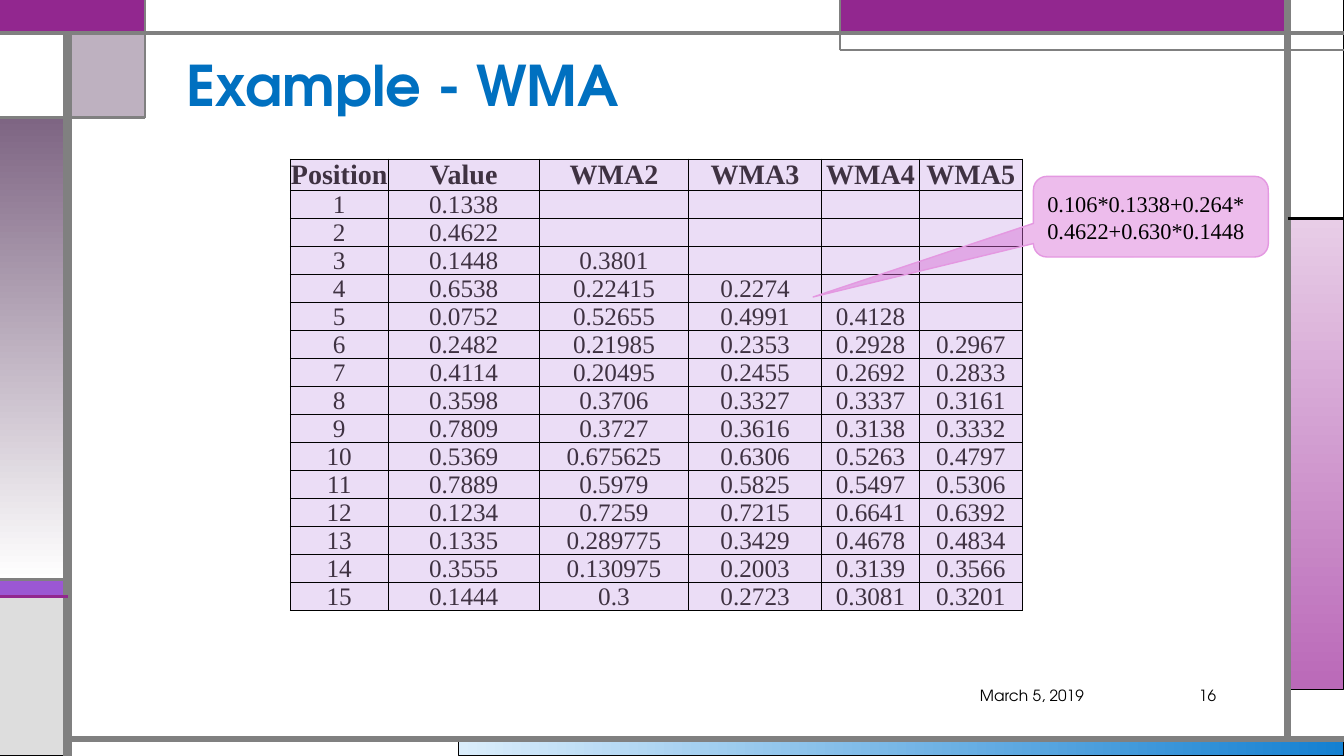
from lxml import etree
from pptx import Presentation
from pptx import util as u
from pptx.dml import color
from pptx.enum import shapes, text
from pptx.oxml import ns

COLORS = {
    "white": "FFFFFF", "black": "000000", "gray": "808080", "silver": "DDDDDD",
    "plum": "92278F", "violet": "9B57D3", "indigo": "755DD9", "mauve": "7E6583",
    "sky": "DAEDFB", "ocean": "1480D1", "blush": "E8CDE7", "orchid": "BA69B8",
    "title": "0070C0", "cell": "EBDDF6", "ink": "3F3242",
    "callout": "D665D3", "callout_edge": "E498E1",
}
HEADING, SERIF = "TeX Gyre Adventor", "Times New Roman"
FONTS = {
    "title": {"name": HEADING, "size": u.Pt(40), "bold": True},
    "footer": {"name": HEADING, "size": u.Pt(11), "bold": False},
    "header": {"name": SERIF, "size": u.Pt(20), "bold": True},
    "body": {"name": SERIF, "size": u.Pt(18), "bold": False},
    "callout": {"name": SERIF, "size": u.Pt(16), "bold": False},
}
SLIDE = (0, 0, 13.33, 7.5)
RAIL_LEFT, RAIL_RIGHT, TAB_RIGHT, BAND_LEFT = 0.67, 12.77, 1.44, 8.33
TOP, TAB_BOTTOM, STRIPE_TOP, STRIPE_BOTTOM, BASE = 0.33, 1.17, 5.75, 5.92, 7.33
RIGHT_BREAK = 2.17

HEADERS = ["Position", "Value", "WMA2", "WMA3", "WMA4", "WMA5"]
HEADER_HEIGHT = 0.31
COLUMN_WIDTHS = [0.97, 1.5, 1.48, 1.32, 0.97, 1.02]
VALUES = ["0.1338", "0.4622", "0.1448", "0.6538", "0.0752", "0.2482", "0.4114", "0.3598",
          "0.7809", "0.5369", "0.7889", "0.1234", "0.1335", "0.3555", "0.1444"]
AVERAGES = [
    ["0.3801", "0.22415", "0.52655", "0.21985", "0.20495", "0.3706", "0.3727",
     "0.675625", "0.5979", "0.7259", "0.289775", "0.130975", "0.3"],
    ["0.2274", "0.4991", "0.2353", "0.2455", "0.3327", "0.3616", "0.6306", "0.5825",
     "0.7215", "0.3429", "0.2003", "0.2723"],
    ["0.4128", "0.2928", "0.2692", "0.3337", "0.3138", "0.5263", "0.5497", "0.6641",
     "0.4678", "0.3139", "0.3081"],
    ["0.2967", "0.2833", "0.3161", "0.3332", "0.4797", "0.5306", "0.6392", "0.4834",
     "0.3566", "0.3201"],
]


def rgb(name):
    """Return the named colour."""
    return color.RGBColor.from_string(COLORS[name])


def inches(*lengths):
    """Convert lengths to inches."""
    return [u.Inches(length) for length in lengths]


def write(paragraph, words, style, ink, align, spacing=None):
    """Put one formatted run in a paragraph."""
    paragraph.alignment = align
    paragraph.line_spacing = spacing
    run = paragraph.add_run()
    run.text = words
    for attribute, value in FONTS[style].items():
        setattr(run.font, attribute, value)
    run.font.color.rgb = rgb(ink)


def paint(shape, fill, edge, width, opacity=None, angle=0):
    """Give a shape its fill and outline; a pair of colours makes a gradient."""
    shape.shadow.inherit = False
    if isinstance(fill, tuple):
        shape.fill.gradient()
        shape.fill.gradient_angle = -angle % 360
        for stop, shade, position in zip(shape.fill.gradient_stops, fill, (0, 1)):
            stop.color.rgb = rgb(shade)
            stop.position = position
    else:
        shape.fill.solid()
        shape.fill.fore_color.rgb = rgb(fill)
    if opacity:
        swatch = shape._element.spPr.find(ns.qn("a:solidFill"))[0]
        etree.SubElement(swatch, ns.qn("a:alpha"), val=str(opacity * 1000))
    shape.line.color.rgb = rgb(edge)
    shape.line.width = u.Pt(width)


def draw_frame(slide, box):
    """Draw the blocks and rules that surround the content."""
    left, top, right, bottom = box
    blocks = [
        (4.55, BASE, right, bottom, ("sky", "ocean"), "black", 0.75, None, 0),
        (RAIL_RIGHT, RIGHT_BREAK, right, 6.84, ("blush", "orchid"), "black", 0.75, None, 90),
        (left, STRIPE_TOP, RAIL_LEFT, STRIPE_BOTTOM, "violet", "black", 0.75),
        (left, STRIPE_BOTTOM, RAIL_LEFT, bottom, "silver", "black", 0.75),
        (RAIL_RIGHT, top, right, RIGHT_BREAK, "white", "black", 0.75),
        (BAND_LEFT, top, RAIL_RIGHT, TOP, "plum", "indigo", 0.75),
        (RAIL_LEFT, TOP, TAB_RIGHT, TAB_BOTTOM, "mauve", "black", 0.75, 50),
        (left, TAB_BOTTOM, RAIL_LEFT, STRIPE_TOP, ("mauve", "white"), "black", 0.75, None, 90),
        (left, TOP, RAIL_LEFT, TAB_BOTTOM, "white", "black", 0.75),
        (left, top, TAB_RIGHT, TOP, "plum", "plum", 1.5),
        (TAB_RIGHT, top, BAND_LEFT, TOP, "white", "gray", 0.75),
    ]
    rules = [
        (RAIL_LEFT, bottom, RAIL_LEFT, TOP, "gray", 6),
        (RAIL_LEFT, BASE, right, BASE, "gray", 4.5),
        (RAIL_RIGHT, BASE, RAIL_RIGHT, top, "gray", 4.5),
        (left, TOP, right, TOP, "gray", 3),
        (right, 0.5, BAND_LEFT, 0.5, "gray", 1.5),
        (BAND_LEFT, 0.5, BAND_LEFT, top, "gray", 1.5),
        (RAIL_RIGHT, RIGHT_BREAK, right, RIGHT_BREAK, "black", 2.25),
        (TAB_RIGHT, top, TAB_RIGHT, TAB_BOTTOM, "gray", 1.5),
        (TAB_RIGHT, TAB_BOTTOM, left, TAB_BOTTOM, "gray", 2.25),
        (RAIL_LEFT, STRIPE_TOP, left, STRIPE_TOP, "gray", 2.25),
        (RAIL_LEFT, STRIPE_BOTTOM, left, STRIPE_BOTTOM, "plum", 2.25),
    ]
    frame = slide.shapes.add_group_shape().shapes
    for x1, y1, x2, y2, *look in blocks:
        block = frame.add_shape(shapes.MSO_SHAPE.RECTANGLE, *inches(x1, y1, x2 - x1, y2 - y1))
        paint(block, *look)
    for *ends, shade, width in rules:
        rule = frame.add_connector(shapes.MSO_CONNECTOR.STRAIGHT, *inches(*ends))
        rule.line.color.rgb = rgb(shade)
        rule.line.width = u.Pt(width)
        etree.SubElement(rule._element.spPr, ns.qn("a:effectLst"))


def draw_label(slide, box, words, style, ink, align, anchor, spacing=None):
    """Place one line of text in a box."""
    label = slide.shapes.add_textbox(*inches(*box)).text_frame
    label.word_wrap = True
    label.vertical_anchor = anchor
    write(label.paragraphs[0], words, style, ink, align, spacing)


def format_cell(cell, words, style):
    """Fill, border and write one table cell."""
    layout = {"margin_left": 0, "margin_top": 0, "margin_right": 0, "margin_bottom": 0,
              "vertical_anchor": text.MSO_ANCHOR.BOTTOM}
    for attribute, value in layout.items():
        setattr(cell, attribute, value)
    for side in ("lnL", "lnR", "lnT", "lnB"):
        border = etree.SubElement(cell._tc.get_or_add_tcPr(), ns.qn("a:" + side), w=str(u.Pt(1)))
        solid = etree.SubElement(border, ns.qn("a:solidFill"))
        etree.SubElement(solid, ns.qn("a:srgbClr"), val=COLORS["black"])
    cell.fill.solid()
    cell.fill.fore_color.rgb = rgb("cell")
    paragraph = cell.text_frame.paragraphs[0]
    if words:
        write(paragraph, words, style, "ink", text.PP_ALIGN.CENTER, 0.9)
    else:
        etree.SubElement(paragraph._p, ns.qn("a:endParaRPr"), sz="1200")


def draw_averages(slide, box):
    """Build the table of weighted moving averages."""
    columns = [[str(n + 1) for n in range(len(VALUES))], VALUES]
    columns += [[""] * (len(VALUES) - len(series)) + series for series in AVERAGES]
    rows = [HEADERS, *zip(*columns)]
    row_height = (box[3] - HEADER_HEIGHT) / len(VALUES)
    averages = slide.shapes.add_table(len(rows), len(HEADERS), *inches(*box)).table
    for column, width in zip(averages.columns, COLUMN_WIDTHS):
        column.width = u.Inches(width)
    for r, row in enumerate(rows):
        averages.rows[r].height = u.Inches(row_height if r else HEADER_HEIGHT)
        for c, words in enumerate(row):
            format_cell(averages.cell(r, c), words, "body" if r else "header")


def draw_callout(slide, box):
    """Point out how one average is worked out."""
    callout = slide.shapes.add_shape(shapes.MSO_SHAPE.ROUNDED_RECTANGULAR_CALLOUT, *inches(*box))
    for index, value in enumerate((-1.438, 0.996, 0.167)):
        callout.adjustments[index] = value
    paint(callout, "callout", "callout_edge", 1, 43)
    callout.text_frame.word_wrap = True
    callout.text_frame.vertical_anchor = text.MSO_ANCHOR.MIDDLE
    write(callout.text_frame.paragraphs[0], "0.106*0.1338+0.264*0.4622+0.630*0.1448",
          "callout", "black", text.PP_ALIGN.LEFT)


def main():
    """Build the slide and save it."""
    deck = Presentation()
    deck.slide_width, deck.slide_height = inches(*SLIDE[2:])
    slide = deck.slides.add_slide(deck.slide_layouts[6])
    draw_frame(slide, SLIDE)
    draw_label(slide, (1.75, 0.44, 9, 0.79), "Example - WMA", "title", "title",
               text.PP_ALIGN.LEFT, text.MSO_ANCHOR.BOTTOM, 0.9)
    for left, width, words in ((9.41, 1.44, "March 5, 2019"), (11.08, 1.08, "16")):
        draw_label(slide, (left, 6.75, width, 0.3), words, "footer", "black",
                   text.PP_ALIGN.RIGHT, text.MSO_ANCHOR.MIDDLE)
    draw_averages(slide, (2.88, 1.58, sum(COLUMN_WIDTHS), 4.48))
    draw_callout(slide, (10.25, 1.75, 2.33, 0.8))
    deck.save("out.pptx")


if __name__ == "__main__":
    main()
